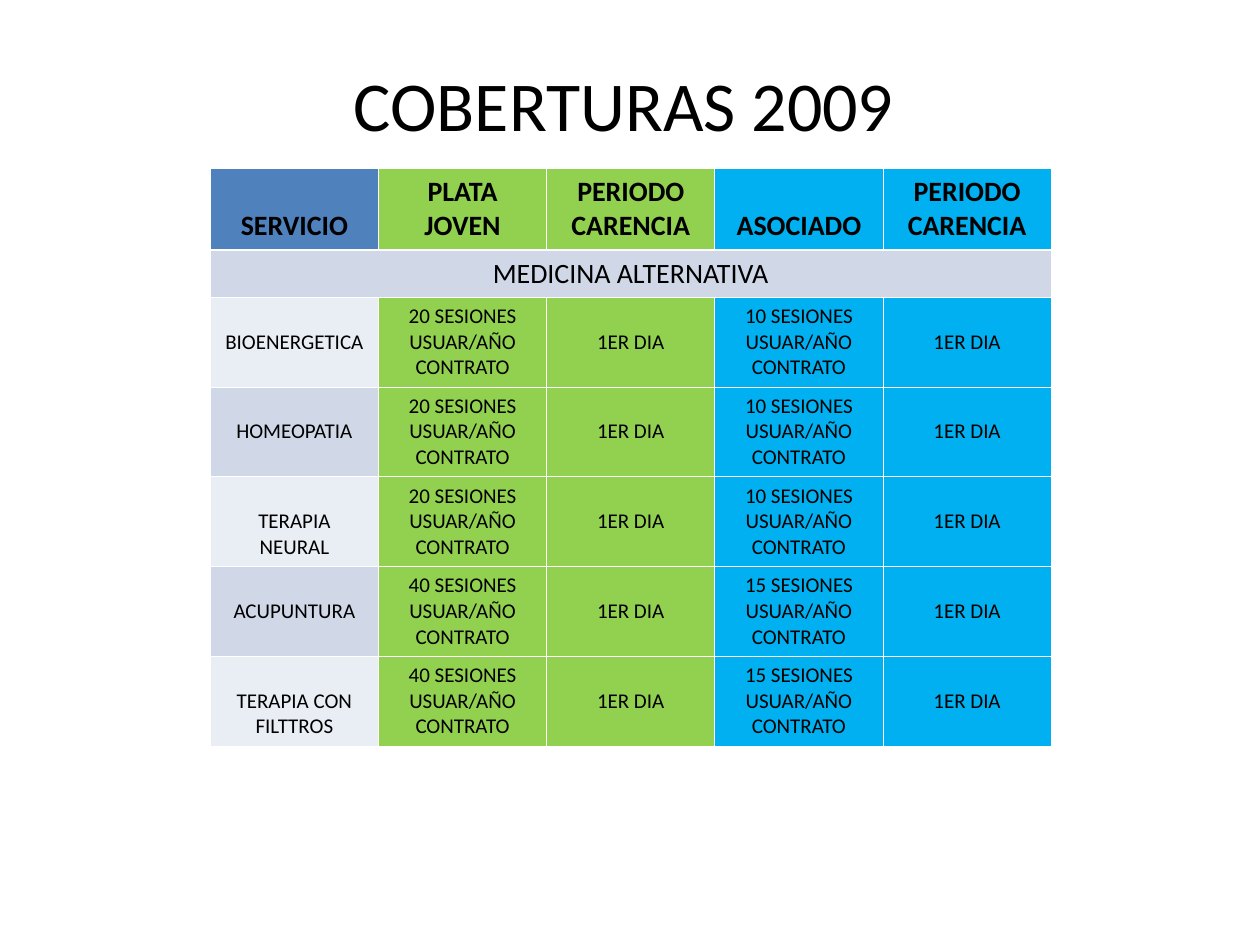
from lxml import etree
from pptx import Presentation
from pptx.dml.color import RGBColor
from pptx.enum.text import MSO_ANCHOR, PP_ALIGN
from pptx.oxml.ns import qn
from pptx.util import Cm, Pt

CENTER, MIDDLE, TOP = PP_ALIGN.CENTER, MSO_ANCHOR.MIDDLE, MSO_ANCHOR.TOP

# Content
TITLE = "COBERTURAS 2009"
HEADERS = ["SERVICIO", "PLATA JOVEN", "PERIODO CARENCIA", "ASOCIADO", "PERIODO CARENCIA"]
SECTION = "MEDICINA ALTERNATIVA"
SERVICES = [  # service, sessions in Plata Joven, sessions in Asociado
    ("BIOENERGETICA", 20, 10),
    ("HOMEOPATIA", 20, 10),
    ("TERAPIA NEURAL", 20, 10),
    ("ACUPUNTURA", 40, 15),
    ("TERAPIA CON FILTTROS", 40, 15),
]
LIMIT = "{} SESIONES USUAR/AÑO CONTRATO"
WAITING = "1ER DIA"

THEME = {
    "font": "Calibri", "text": "000000", "border": "FFFFFF",
    "header": "4F81BD", "plata": "92D050", "asociado": "00B0F0",
    "bands": ("E9EDF4", "D0D8E8"),
    "title_size": 40, "head_size": 16, "body_size": 12,
    "thin": 0.45, "thick": 1.47,
}
PLAN_FILLS = [THEME["plata"]] * 2 + [THEME["asociado"]] * 2

# Layout in cm
LEFT, TABLE_TOP, COL_W = 4.24, 3.39, 3.39
HEAD_H, SECTION_H, ROW_H = 1.65, 0.95, 1.81
PAD_X, PAD_Y = 0.25, 0.13
LINE_CM = 0.043  # line height for each point of type size


def write(tf, text, size, bold=False):
    p = tf.paragraphs[0]
    p.alignment = CENTER
    r = p.add_run()
    r.text = text
    fmt = {"name": THEME["font"], "size": Pt(size), "bold": bold}
    for key, value in fmt.items():
        setattr(r.font, key, value)
    r.font.color.rgb = RGBColor.from_string(THEME["text"])


def set_borders(cell, **widths):
    tc_pr = cell._tc.get_or_add_tcPr()
    for side in "LRTB":
        width = Pt(widths.get(side, THEME["thin"]))
        ln = etree.SubElement(tc_pr, qn(f"a:ln{side}"), w=str(width))
        fill = etree.SubElement(ln, qn("a:solidFill"))
        etree.SubElement(fill, qn("a:srgbClr"), val=THEME["border"])


def fill_cell(cell, text, size, color, bold=False, lowered=False, **borders):
    """Lowered text starts one line further down."""
    fmt = {
        "margin_left": Cm(PAD_X), "margin_right": Cm(PAD_X),
        "margin_top": Cm(PAD_Y + lowered * size * LINE_CM),
        "margin_bottom": Cm(PAD_Y), "vertical_anchor": TOP,
    }
    for key, value in fmt.items():
        setattr(cell, key, value)
    set_borders(cell, **borders)
    cell.fill.solid()
    cell.fill.fore_color.rgb = RGBColor.from_string(color)
    if text:
        write(cell.text_frame, text, size, bold)


prs = Presentation()
prs.slide_width, prs.slide_height = Cm(25.4), Cm(19.05)
s = prs.slides.add_slide(prs.slide_layouts[6])

# Title
sp = s.shapes.add_textbox(Cm(1.78), Cm(1.19), Cm(21.59), Cm(1.78))
tf = sp.text_frame
tf.word_wrap = True
tf.vertical_anchor = MIDDLE
write(tf, TITLE, THEME["title_size"])

# Table grid
heights = [HEAD_H, SECTION_H] + [ROW_H] * len(SERVICES)
n_cols = len(HEADERS)
table = s.shapes.add_table(len(heights), n_cols, Cm(LEFT), Cm(TABLE_TOP),
                           Cm(COL_W * n_cols), Cm(sum(heights))).table
table.first_row = table.horz_banding = False
for column in table.columns:
    column.width = Cm(COL_W)
for row, height in zip(table.rows, heights):
    row.height = Cm(height)

# Header row
for c, (text, color) in enumerate(zip(HEADERS, [THEME["header"]] + PLAN_FILLS)):
    fill_cell(table.cell(0, c), text, THEME["head_size"], color, bold=True,
              lowered=" " not in text, B=THEME["thick"])

# Section row across all columns
table.cell(1, 0).merge(table.cell(1, n_cols - 1))
for c in range(n_cols):
    fill_cell(table.cell(1, c), "" if c else SECTION, THEME["head_size"],
              THEME["bands"][1], T=THEME["thick"])

# Service rows
for i, (service, plata, asociado) in enumerate(SERVICES):
    texts = [service, LIMIT.format(plata), WAITING, LIMIT.format(asociado), WAITING]
    fills = [THEME["bands"][i % 2]] + PLAN_FILLS
    for c, (text, color) in enumerate(zip(texts, fills)):
        top = THEME["thin"]
        fill_cell(table.cell(i + 2, c), text, THEME["body_size"], color,
                  lowered=c not in (1, 3), T=top)

prs.save("out.pptx")
